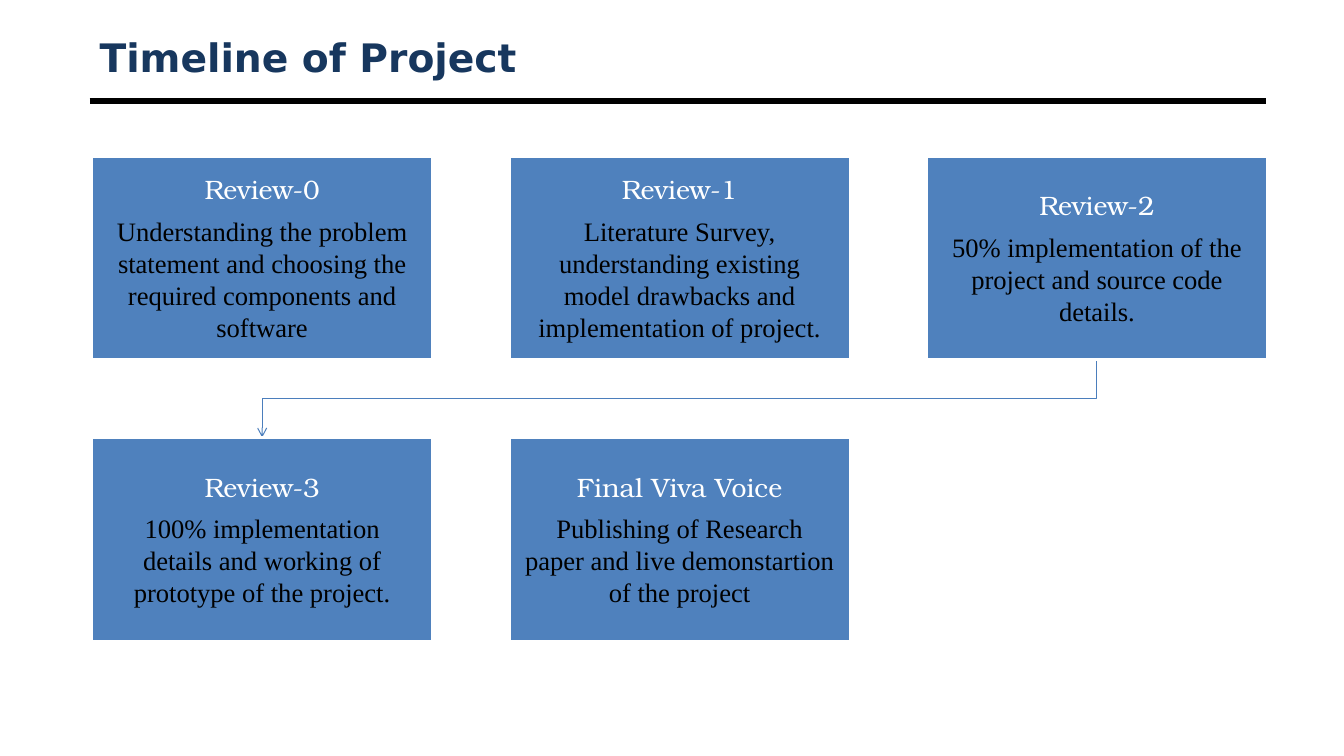
from lxml import etree
from pptx import Presentation
from pptx.dml.color import RGBColor
from pptx.enum.shapes import MSO_CONNECTOR, MSO_SHAPE
from pptx.enum.text import MSO_ANCHOR as Anchor, PP_ALIGN as Align
from pptx.oxml.ns import qn
from pptx.util import Pt

PX = 9144  # EMU, 100 px to the inch
NAVY = RGBColor(0x17, 0x37, 0x5E)
BLUE = RGBColor(0x4F, 0x81, 0xBD)
ARROW_BLUE = RGBColor(0x4B, 0x7E, 0xBC)
WHITE = RGBColor(0xFF, 0xFF, 0xFF)
BLACK = RGBColor(0, 0, 0)

TITLE_FONT = "DejaVu Sans"
HEADING_FONT = "TeX Gyre Bonum"
BODY_FONT = "Times New Roman"

# Grid of review boxes
LEFT, TOP = 91, 155
BOX_W, BOX_H = 338, 202
STEP_X, STEP_Y = 414, 279
COLUMNS = 3

REVIEWS = [
    ("Review-0", "Understanding the problem statement and choosing the "
                 "required components and software"),
    ("Review-1", "Literature Survey, understanding existing model drawbacks "
                 "and implementation of project."),
    ("Review-2", "50% implementation of the project and source code details."),
    ("Review-3", "100% implementation details and working of prototype of "
                 "the project."),
    ("Final Viva Voice", "Publishing of Research paper and live demonstartion "
                         "of the project"),
]


class TimelineSlide:
    def __init__(self, deck):
        self.slide = deck.slides.add_slide(deck.slide_layouts[6])
        self.shapes = self.slide.shapes

    def set_text(self, paragraph, text, font, size, color, bold=False):
        paragraph.text = text
        for run in paragraph.runs:
            run.font.name = font
            run.font.size = Pt(size)
            run.font.color.rgb = color
            run.font.bold = bold

    def title(self, text, x, y, w, h):
        heading = self.shapes.add_textbox(x * PX, y * PX, w * PX, h * PX)
        frame = heading.text_frame
        frame.word_wrap = True
        frame.vertical_anchor = Anchor.MIDDLE
        self.set_text(frame.paragraphs[0], text, TITLE_FONT, 28, NAVY, True)

    def rule(self, x1, x2, y):
        rule = self.shapes.add_connector(
            MSO_CONNECTOR.STRAIGHT, x1 * PX, y * PX, x2 * PX, y * PX)
        rule.line.color.rgb = BLACK
        rule.line.width = Pt(4.5)
        etree.SubElement(rule._element.spPr, qn("a:effectLst"))

    def review(self, heading, details, x, y):
        box = self.shapes.add_shape(
            MSO_SHAPE.RECTANGLE, x * PX, y * PX, BOX_W * PX, BOX_H * PX)
        box.shadow.inherit = False
        box.fill.solid()
        box.fill.fore_color.rgb = BLUE
        box.line.color.rgb = WHITE
        box.line.width = Pt(2)
        frame = box.text_frame
        frame.word_wrap = True
        frame.vertical_anchor = Anchor.MIDDLE
        frame.margin_left = frame.margin_right = 15 * PX
        frame.margin_top = frame.margin_bottom = 15 * PX
        self.set_text(frame.paragraphs[0], heading, HEADING_FONT, 19, WHITE)
        self.set_text(frame.add_paragraph(), details, BODY_FONT, 19, BLACK)
        for paragraph in frame.paragraphs:
            paragraph.alignment = Align.CENTER
            paragraph.space_after = Pt(7)

    def arrow(self, points):
        builder = self.shapes.build_freeform(*points[0], scale=PX)
        builder.add_line_segments(points[1:], close=False)
        arrow = builder.convert_to_shape()
        arrow.shadow.inherit = False
        arrow.fill.background()
        arrow.line.color.rgb = ARROW_BLUE
        arrow.line.width = Pt(0.75)
        outline = arrow._element.spPr.find(qn("a:ln"))
        etree.SubElement(outline, qn("a:tailEnd"), type="arrow")


def main():
    deck = Presentation()
    deck.slide_width, deck.slide_height = 1333 * PX, 750 * PX
    timeline = TimelineSlide(deck)

    # Title and rule
    timeline.rule(89, 1256, 100)
    timeline.title("Timeline of Project", 89, 30, 1167, 53)

    # Arrow from the end of the first row to the start of the second
    start_x = LEFT + (COLUMNS - 1) * STEP_X + BOX_W // 2
    end_x = LEFT + BOX_W // 2
    start_y, end_y = TOP + BOX_H, TOP + STEP_Y
    middle_y = (start_y + end_y) // 2
    timeline.arrow([(start_x, start_y), (start_x, middle_y),
                    (end_x, middle_y), (end_x, end_y)])

    # Review boxes, row by row
    for index, (heading, details) in enumerate(REVIEWS):
        row, column = divmod(index, COLUMNS)
        timeline.review(heading, details,
                        LEFT + column * STEP_X, TOP + row * STEP_Y)

    deck.save("out.pptx")


if __name__ == "__main__":
    main()
